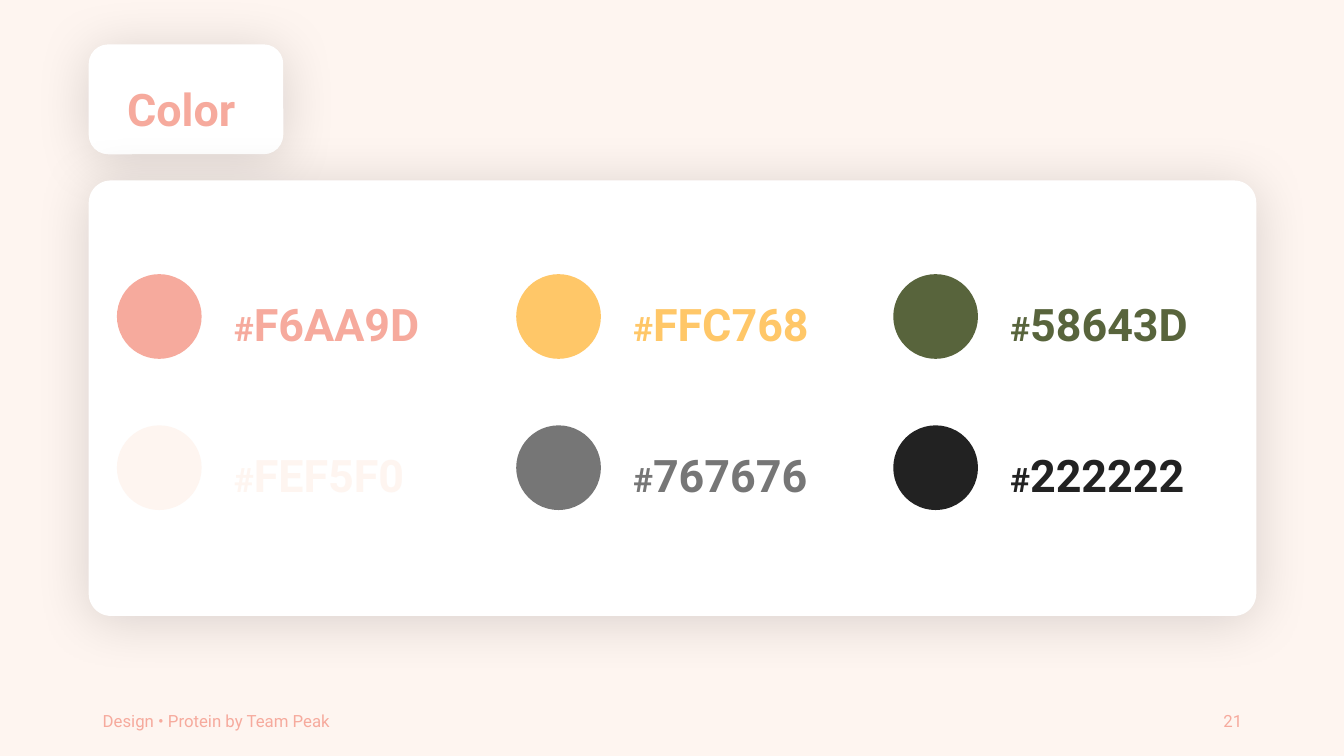
from lxml import etree
from pptx import Presentation
from pptx.dml.color import RGBColor
from pptx.enum.shapes import MSO_SHAPE
from pptx.enum.text import MSO_ANCHOR, MSO_AUTO_SIZE, PP_ALIGN
from pptx.oxml.ns import qn
from pptx.util import Inches, Pt

ROUNDED, ELLIPSE = MSO_SHAPE.ROUNDED_RECTANGLE, MSO_SHAPE.OVAL
TOP, MIDDLE = MSO_ANCHOR.TOP, MSO_ANCHOR.MIDDLE
LEFT, RIGHT = PP_ALIGN.LEFT, PP_ALIGN.RIGHT
FIT, NO_FIT = MSO_AUTO_SIZE.SHAPE_TO_FIT_TEXT, MSO_AUTO_SIZE.NONE

FONT = "Roboto"
WHITE = RGBColor(0xFF, 0xFF, 0xFF)
CORAL = RGBColor(0xF6, 0xAA, 0x9D)
CREAM = RGBColor(0xFE, 0xF5, 0xF0)
AMBER = RGBColor(0xFF, 0xC7, 0x68)
GRAY = RGBColor(0x76, 0x76, 0x76)
OLIVE = RGBColor(0x58, 0x64, 0x3C)
INK = RGBColor(0x22, 0x22, 0x22)

# Each column: left edge, then its swatches from top to bottom (code, colour, label width)
PALETTE = [
    (1.16, [("F6AA9D", CORAL, 2.25), ("FEF5F0", CREAM, 2.12)]),
    (5.12, [("FFC768", AMBER, 2.12), ("767676", GRAY, 2.12)]),
    (8.86, [("58643D", OLIVE, 2.25), ("222222", INK, 2.03)]),
]
FIRST_ROW, ROW_STEP = 2.72, 1.5
DOT = 0.84
LABEL_DX, LABEL_DY = 1.06, -0.09

HEADING = {"auto_size": FIT, "word_wrap": False, "vertical_anchor": TOP}
FOOTER = {"auto_size": NO_FIT, "word_wrap": True, "vertical_anchor": MIDDLE}


def place(shape, left, top, width, height):
    shape.left, shape.top = Inches(left), Inches(top)
    shape.width, shape.height = Inches(width), Inches(height)


def add_soft_shadow(shape):
    shape.shadow.inherit = False
    effects = shape.element.spPr.find(qn("a:effectLst"))
    shadow = etree.SubElement(
        effects, qn("a:outerShdw"), blurRad=str(Pt(40)), dist=str(Pt(4)),
        dir="5400000", algn="t", rotWithShape="0")
    tint = etree.SubElement(shadow, qn("a:srgbClr"), val="000000")
    etree.SubElement(tint, qn("a:alpha"), val="15000")


def add_filled(slide, preset, box, color):
    shape = slide.shapes.add_shape(preset, *map(Inches, box))
    shape.shadow.inherit = False
    shape.fill.solid()
    shape.fill.fore_color.rgb = color
    shape.line.fill.background()
    return shape


def add_card(slide, box, rounding):
    card = add_filled(slide, ROUNDED, box, WHITE)
    card.adjustments[0] = rounding
    add_soft_shadow(card)
    # The title placeholder stays in front of the cards
    slide.shapes.title.element.addprevious(card.element)


def write(shape, runs, color, frame_format, bold=False, align=LEFT, spacing=1.0):
    frame = shape.text_frame
    for name, value in frame_format.items():
        setattr(frame, name, value)
    paragraph = frame.paragraphs[0]
    paragraph.alignment = align
    paragraph.line_spacing = spacing
    for text, size in runs:
        run = paragraph.add_run()
        run.text = text
        font_format = {"name": FONT, "size": Pt(size), "bold": bold}
        for name, value in font_format.items():
            setattr(run.font, name, value)
        run.font.color.rgb = color


def add_label(slide, box, runs, color, frame_format, **text_format):
    label = slide.shapes.add_textbox(*map(Inches, box))
    write(label, runs, color, frame_format, **text_format)


def add_swatch(slide, left, top, code, color, label_width):
    add_filled(slide, ELLIPSE, (left, top, DOT, DOT), color)
    label_box = (left + LABEL_DX, top + LABEL_DY, label_width, 0.84)
    add_label(slide, label_box, [("#", 24), (code, 32)], color, HEADING,
              bold=True, spacing=1.5)


def main():
    prs = Presentation()
    prs.slide_width, prs.slide_height = Inches(13.33), Inches(7.5)
    slide = prs.slides.add_slide(prs.slide_layouts[5])
    slide.background.fill.solid()
    slide.background.fill.fore_color.rgb = CREAM

    # Cards behind the title and the palette
    add_card(slide, (0.88, 0.44, 1.93, 1.09), 0.177)
    add_card(slide, (0.88, 1.79, 11.58, 4.32), 0.051)

    # Title
    title = slide.shapes.title
    place(title, 1.16, 0.49, 1.37, 0.84)
    write(title, [("Color", 32)], CORAL, HEADING, bold=True, spacing=1.5)

    # Palette
    for left, swatches in PALETTE:
        for row, swatch in enumerate(swatches):
            add_swatch(slide, left, FIRST_ROW + row * ROW_STEP, *swatch)

    # Footer
    add_label(slide, (0.92, 6.95, 4.5, 0.4),
              [("Design • Protein by Team Peak", 12)], CORAL, FOOTER)
    add_label(slide, (9.42, 6.95, 3, 0.4), [("21", 12)], CORAL, FOOTER, align=RIGHT)

    prs.save("out.pptx")


if __name__ == "__main__":
    main()
